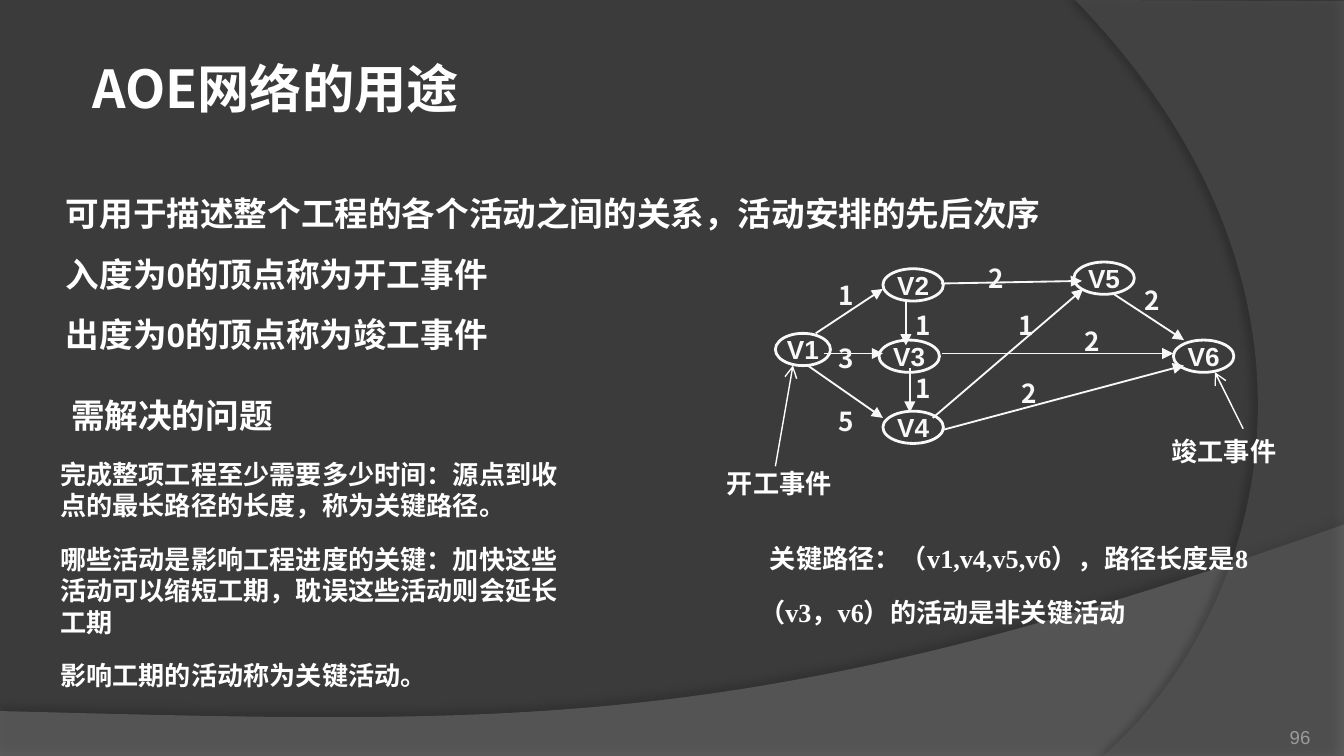
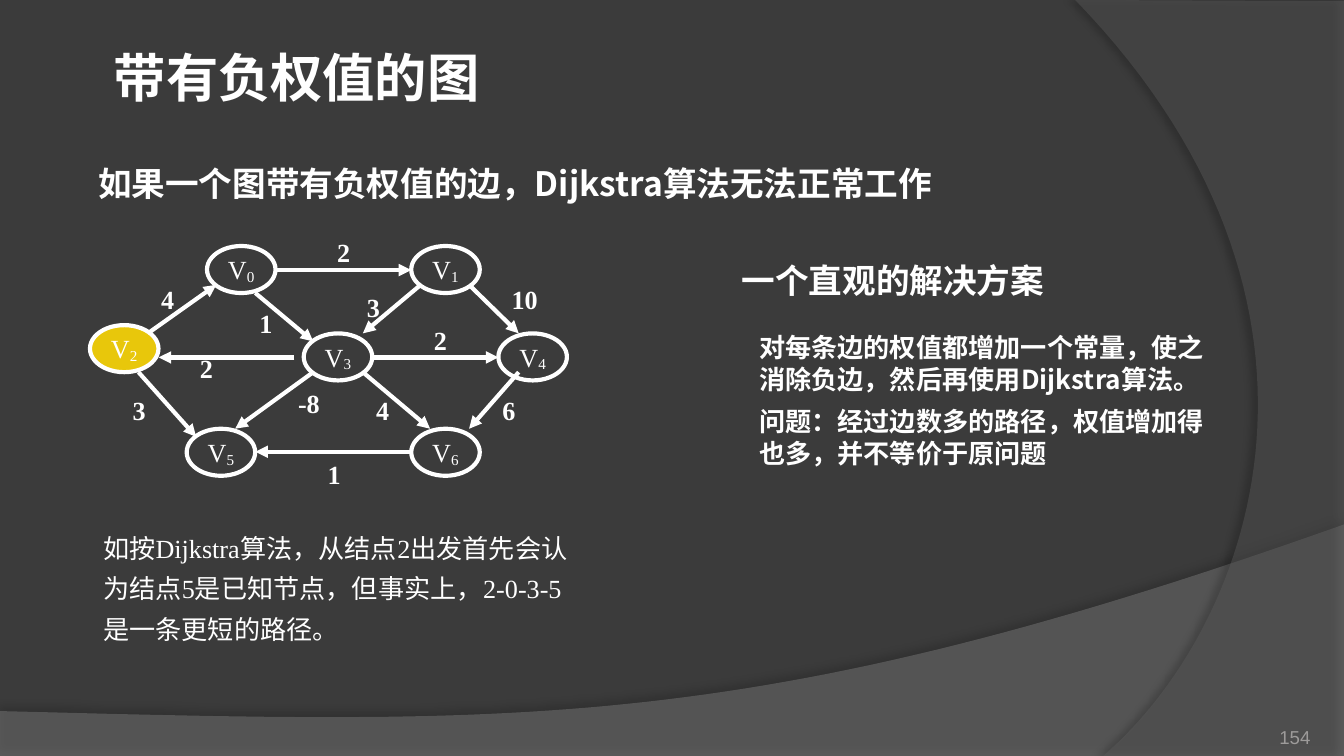
from lxml import etree
from pptx import Presentation, util as u
from pptx.dml.color import RGBColor
from pptx.enum import shapes as sh, text as tx
from pptx.oxml.ns import qn

WHITE, PALE, GRAY, GOLD = "FFFFFF", "F8F8F8", "9D9B9A", "E8C70B"
NOTO, ARIAL, TIMES = "Noto Sans CJK SC", "Arial", "Times New Roman"
LEFT, MID, RIGHT = tx.PP_ALIGN.LEFT, tx.PP_ALIGN.CENTER, tx.PP_ALIGN.RIGHT
TOP, CENTER, BOTTOM = (tx.MSO_ANCHOR.TOP, tx.MSO_ANCHOR.MIDDLE,
                       tx.MSO_ANCHOR.BOTTOM)
INSET = (7.2, 3.6)


def rgb(code):
    return RGBColor.from_string(code)


def sub(parent, tag, **attrs):
    """Append a DrawingML element with the given attributes."""
    node = etree.SubElement(parent, qn("a:" + tag))
    for key, val in attrs.items():
        node.set(key, str(val))
    return node


def curve(p, q, r, s, steps=60):
    """Points along a cubic Bezier curve, without its start."""
    ts = [i / steps for i in range(1, steps + 1)]
    return [tuple((1 - t) ** 3 * a + 3 * t * (1 - t) ** 2 * b
                  + 3 * t * t * (1 - t) * c + t ** 3 * d
                  for a, b, c, d in zip(p, q, r, s)) for t in ts]


class Deck:
    def __init__(self):
        self.prs = Presentation()
        self.prs.slide_width, self.prs.slide_height = u.Pt(720), u.Pt(405)
        fill = self.prs.slide_master.background.fill
        fill.solid()
        fill.fore_color.rgb = rgb("3B3B3B")

    def page(self, num):
        """Start a slide with its two bands and page number."""
        self.cur = self.prs.slides.add_slide(self.prs.slide_layouts[6]).shapes
        wave = curve((720, 281), (402.5, 394), (281.5, 388), (0, 381))
        arc = curve((591, 405), (673, 334), (733, 162), (576, 0))
        self.band([(0, 381), (0, 405), (720, 405), (720, 281)] + wave,
                  "7F7F7F", 45, (35, 3.5, 270))
        self.band([(720, 0.7), (720, 405), (591, 405)] + arc,
                  "5E5E5E", 40, (45, 4, 180))
        self.text((642.2, 379.4, 59.8, 21.6), [num], 10, ARIAL, GRAY, False,
                  align=RIGHT, inset=(0, 0), anchor=BOTTOM)

    def band(self, pts, color, alpha, shade):
        """Translucent outline; shade is (opacity, distance, angle)."""
        pts = [(u.Pt(x), u.Pt(y)) for x, y in pts]
        maker = self.cur.build_freeform(*pts[0], scale=1.0)
        maker.add_line_segments(pts[1:], close=True)
        band = maker.convert_to_shape()
        band.line.fill.background()
        band.fill.solid()
        band.fill.fore_color.rgb = rgb(color)
        props = band.element.spPr
        tone = props.find(qn("a:solidFill")).find(qn("a:srgbClr"))
        sub(tone, "alpha", val=alpha * 1000)
        dim, dist, angle = shade
        glow = sub(sub(props, "effectLst"), "outerShdw", blurRad=u.Pt(4),
                   dist=u.Pt(dist), dir=angle * 60000, algn="ctr",
                   rotWithShape=0)
        sub(sub(glow, "srgbClr", val="000000"), "alpha", val=dim * 1000)

    def put(self, frame, paras, size, font, color, bold, align=LEFT,
            gap=0, lead=None, inset=INSET, anchor=TOP, wrap=True, hang=None):
        """Fill a frame; a paragraph is a string or (text, baseline) runs."""
        frame.word_wrap, frame.vertical_anchor = wrap, anchor
        frame.margin_left = frame.margin_right = u.Pt(inset[0])
        frame.margin_top = frame.margin_bottom = u.Pt(inset[1])
        for i, runs in enumerate(paras):
            para = frame.add_paragraph() if i else frame.paragraphs[0]
            para.alignment = align
            if i and gap:
                para.space_before = u.Pt(gap)
            if lead:
                para.line_spacing = lead
            if hang:
                props = para._p.get_or_add_pPr()
                props.set("marL", str(u.Pt(hang[0])))
                props.set("indent", str(u.Pt(hang[1])))
            for words, base in [(runs, 0)] if isinstance(runs, str) else runs:
                run = para.add_run()
                run.text = words
                face = run.font
                face.size, face.bold = u.Pt(size), bold
                face.color.rgb = rgb(color)
                face.name = font
                props = run._r.get_or_add_rPr()
                sub(props, "ea", typeface=NOTO)
                if base:
                    props.set("baseline", str(base * 1000))

    def text(self, box, paras, size=14, font=NOTO, color=WHITE, bold=True,
             **style):
        frame = self.cur.add_textbox(*map(u.Pt, box)).text_frame
        self.put(frame, paras, size, font, color, bold, **style)

    def title(self, box, words):
        self.text(box, [words], 28)

    def node(self, box, runs, font, color, bold, width, fill=None):
        oval = self.cur.add_shape(sh.MSO_SHAPE.OVAL, *map(u.Pt, box))
        oval.shadow.inherit = False
        if fill:
            oval.fill.solid()
            oval.fill.fore_color.rgb = rgb(fill)
        else:
            oval.fill.background()
        oval.line.color.rgb, oval.line.width = rgb(color), u.Pt(width)
        self.put(oval.text_frame, [runs], 14, font, color, bold,
                 align=MID, inset=(0, 0), anchor=CENTER, wrap=False)

    def edge(self, ends, color, width, head="triangle"):
        line = self.cur.add_connector(sh.MSO_CONNECTOR.STRAIGHT,
                                      *map(u.Pt, ends))
        line.line.color.rgb, line.line.width = rgb(color), u.Pt(width)
        props = line.element.spPr
        sub(props.find(qn("a:ln")), "tailEnd", type=head)
        sub(props, "effectLst")


def usage(deck):
    """AOE networks: uses, sample network and critical path."""
    deck.page("96")
    deck.text((25.2, 89.3, 675.4, 113), [
        "可用于描述整个工程的各个活动之间的关系，活动安排的先后次序",
        "入度为0的顶点称为开工事件",
        "出度为0的顶点称为竣工事件"], 18, ARIAL, lead=1.5, hang=(33, -30))
    deck.title((42.5, 26.6, 238.3, 41), "AOE网络的用途")
    deck.text((31, 208, 124.6, 28.8), ["需解决的问题"], 18, wrap=False)
    deck.text((25.2, 241.9, 294.5, 67), [
        "完成整项工程至少需要多少时间：源点到收点的最长路径的长度，称为关键路径。",
        "哪些活动是影响工程进度的关键：加快这些活动可以缩短工期，耽误这些活动则会延长工期",
        "影响工期的活动称为关键活动。"], font=ARIAL, gap=12)

    for ends in [(504, 151.9, 579.6, 150.5), (441.4, 189.4, 473, 189.4),
                 (485.3, 160.6, 485.3, 185), (437, 178.6, 473, 154.8),
                 (487.4, 197.3, 487.4, 221), (504.7, 189.4, 628.6, 189.4),
                 (432.7, 195.8, 473, 223.9), (596.9, 157.7, 634.3, 182.2),
                 (504.7, 230.4, 634.3, 195.8), (499.7, 223.9, 580.3, 154.8)]:
        deck.edge(ends, PALE, 1)
    for name, x, y, w in [("V1", 415.4, 178.6, 29.5), ("V2", 473, 144, 32.4),
                          ("V3", 470.9, 182.2, 32.4), ("V4", 473, 220.3, 32.4),
                          ("V5", 575.3, 140.4, 32.4),
                          ("V6", 628.6, 182.2, 32.4)]:
        deck.node((x, y, w, 17.3), name, ARIAL, PALE, True, 1.5)
    for x, y, w, h, costs in [
            (439.2, 149.8, 28.8, 36, "135"), (480.2, 165.6, 28.8, 54, "11"),
            (601.9, 152.6, 31, 36, "2"), (518.4, 140.4, 31, 18, "2"),
            (535.7, 202.3, 31, 22.3, "2"), (534.2, 165.6, 31, 15.1, "1"),
            (569.5, 174.2, 31, 36, "2")]:
        deck.text((x, y, w, h), list(costs), color=PALE, align=MID, gap=16.8,
                  inset=(0, 0))

    for ends in [(415.4, 249.8, 424.8, 195.8), (666, 229.7, 650.9, 199.4)]:
        deck.edge(ends, WHITE, 0.75, "arrow")
    for x, y, w, words in [
            (382.3, 247, 73.4, "开工事件"), (620.6, 229.7, 82, "竣工事件"),
            (405.4, 287.3, 292.3, "关键路径：（v1,v4,v5,v6），路径长度是8"),
            (399.6, 316, 212.4, "（v3，v6）的活动是非关键活动")]:
        deck.text((x, y, w, 24.5), [words], font=TIMES)


def minus(deck):
    """Graph with a negative weight, where Dijkstra fails."""
    deck.page("154")
    deck.text((393.8, 128.9, 198, 41.8), ["一个直观的解决方案"], 18,
              inset=(3.6, 3.6), anchor=CENTER)
    deck.text((42.5, 83.5, 612, 243.4),
              ["如果一个图带有负权值的边，Dijkstra算法无法正常工作"], 18,
              hang=(33, -30))

    for num, x, y in [("2", 48.2, 174.2), ("0", 110.9, 131.8),
                      ("5", 100, 229.7), ("1", 220.3, 131.8),
                      ("3", 162.7, 178.6), ("4", 267, 178.6),
                      ("6", 220.3, 229.7)]:
        deck.node((x, y, 36.7, 25.2), [("V", 0), (num, -10)], TIMES, WHITE,
                  False, 2.25, GOLD if num == "2" else None)
    for ends in [(79.2, 178.6, 115.9, 152.6), (146.9, 144.7, 220.3, 144.7),
                 (74.2, 199.4, 105.1, 234), (136.8, 157, 167.8, 182.9),
                 (225.4, 152.6, 194.4, 178.6), (251.3, 152.6, 277.9, 178.6),
                 (157.7, 191.5, 85, 191.5), (167.8, 199.4, 126, 229.7),
                 (194.4, 199.4, 230.4, 229.7), (199.4, 191.5, 267, 191.5),
                 (277.9, 199.4, 251.3, 229.7), (220.3, 242, 136.8, 242)]:
        deck.edge(ends, WHITE, 2.25)
    for cost, x, y in [("4", 79.2, 148.3), ("2", 173.5, 123.1),
                       ("1", 131.8, 161.3), ("2", 100, 185),
                       ("3", 64, 208), ("3", 189.4, 152.6),
                       ("10", 267, 148.3), ("2", 225.4, 170),
                       ("4", 194.4, 208), ("-8", 152.6, 203.8),
                       ("1", 168.5, 242), ("6", 262, 208)]:
        deck.text((x, y, 15.8 if len(cost) == 1 else 36.7, 24.5), [cost],
                  font=TIMES, wrap=len(cost) > 1)

    deck.text((48.2, 276.5, 266.4, 73.4), [
        "如按Dijkstra算法，从结点2出发首先会认为结点5是已知节点，"
        "但事实上，2-0-3-5是一条更短的路径。"], font=TIMES, bold=False, lead=1.3)
    deck.title((54, 20.9, 470.9, 41), "带有负权值的图")
    deck.text((399.6, 174.2, 266.4, 81.4), [
        "对每条边的权值都增加一个常量，使之消除负边，然后再使用Dijkstra算法。",
        "问题：经过边数多的路径，权值增加得也多，并不等价于原问题"], gap=6)


def main():
    deck = Deck()
    usage(deck)
    minus(deck)
    deck.prs.save("out.pptx")


if __name__ == "__main__":
    main()
